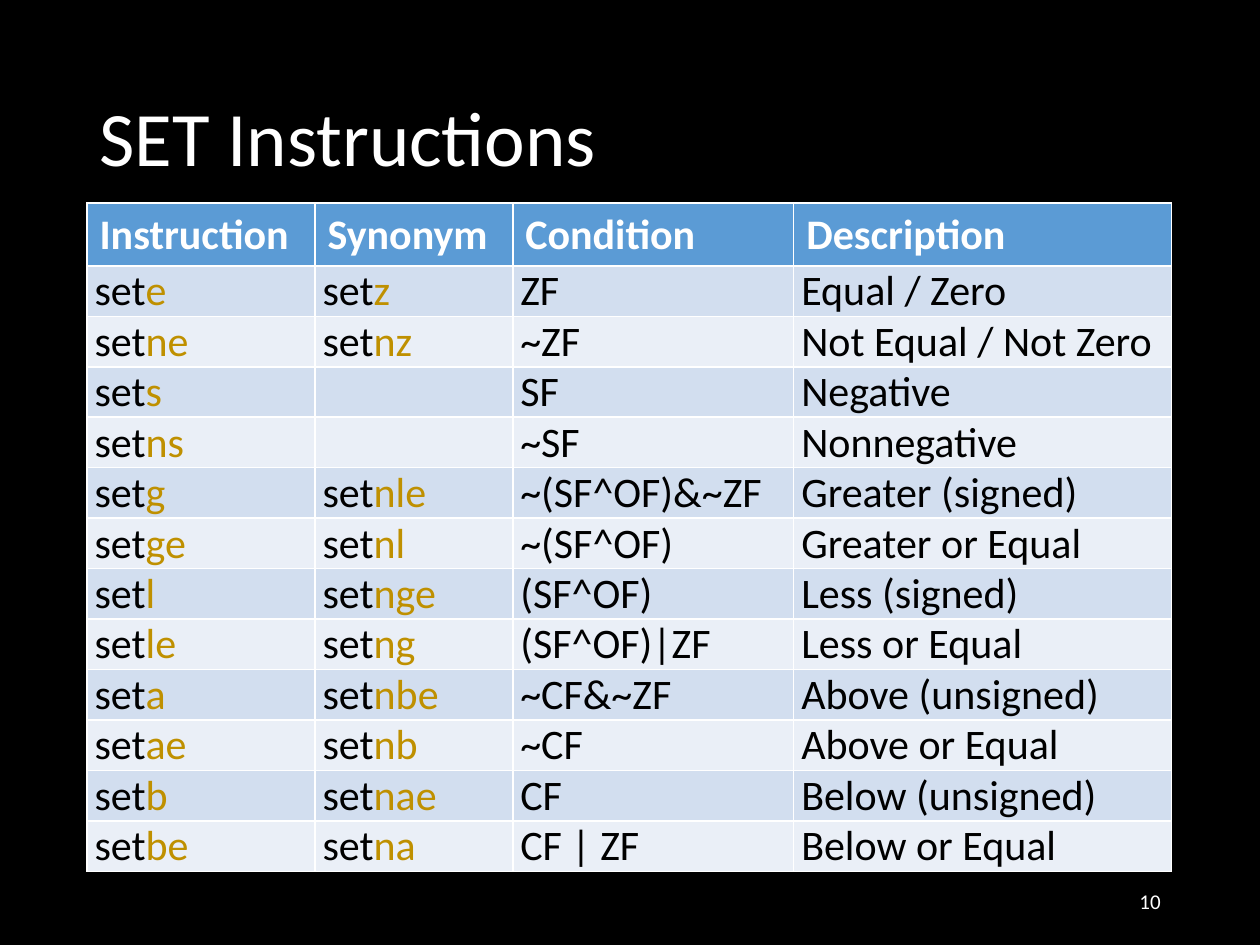
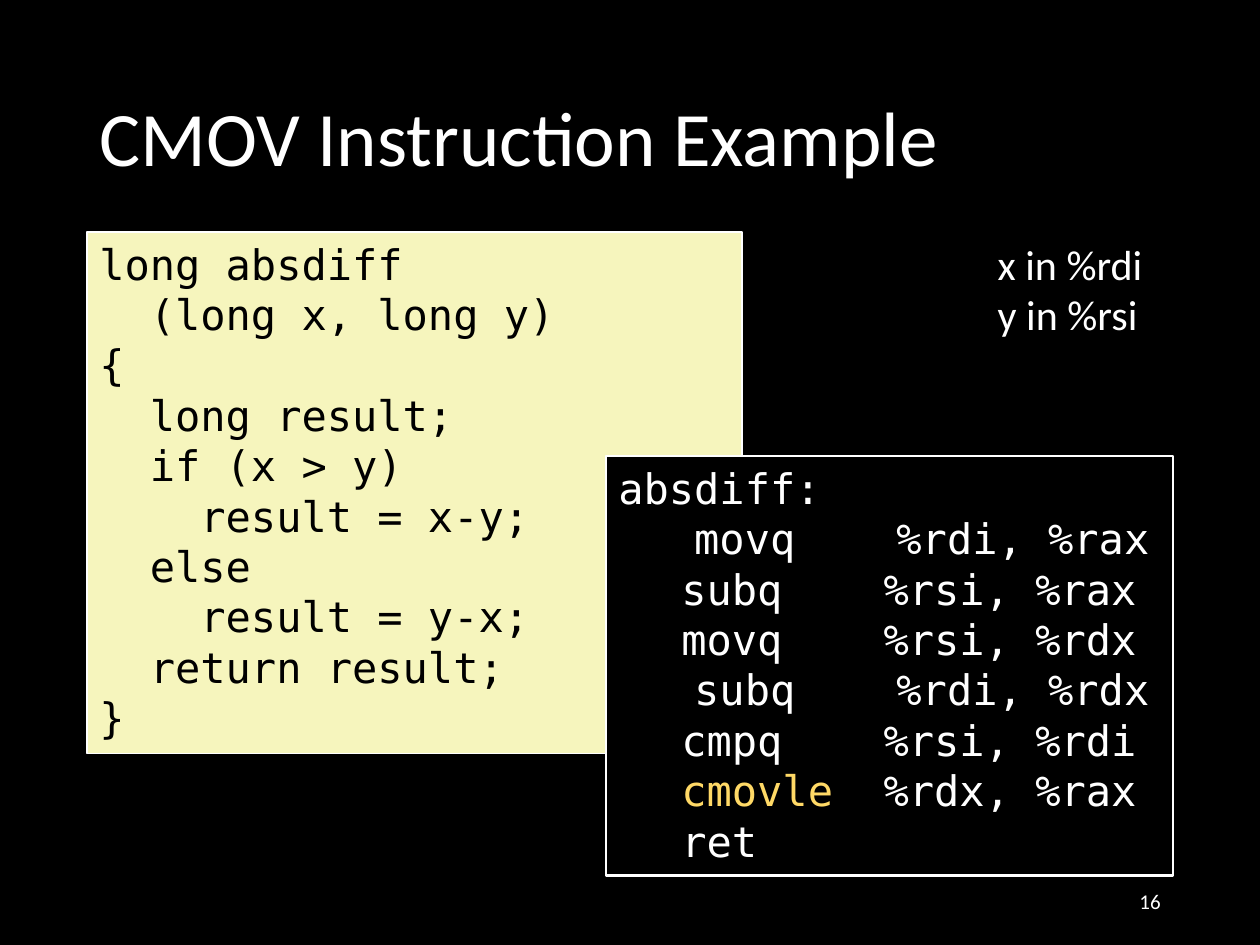
from lxml import etree
from pptx import Presentation
from pptx.dml.color import RGBColor
from pptx.enum.shapes import MSO_SHAPE
from pptx.enum.text import MSO_ANCHOR, MSO_AUTO_SIZE, PP_ALIGN
from pptx.oxml.ns import qn
from pptx.util import Inches, Pt

RECTANGLE = MSO_SHAPE.RECTANGLE
TOP, MIDDLE = MSO_ANCHOR.TOP, MSO_ANCHOR.MIDDLE
LEFT, RIGHT = PP_ALIGN.LEFT, PP_ALIGN.RIGHT
GROW = MSO_AUTO_SIZE.SHAPE_TO_FIT_TEXT

# Content: a "*" splits a text into a plain part, a marked part and a plain part.
SET_TITLE, SET_PAGE = "SET Instructions", "10"
SET_HEADINGS = ("Instruction", "Synonym", "Condition", "Description")
SET_ROWS = [
    ("set*e", "set*z", "ZF", "Equal / Zero"),
    ("set*ne", "set*nz", "~ZF", "Not Equal / Not Zero"),
    ("set*s", "", "SF", "Negative"),
    ("set*ns", "", "~SF", "Nonnegative"),
    ("set*g", "set*nle", "~(SF^OF)&~ZF", "Greater (signed)"),
    ("set*ge", "set*nl", "~(SF^OF)", "Greater or Equal"),
    ("set*l", "set*nge", "(SF^OF)", "Less (signed)"),
    ("set*le", "set*ng", "(SF^OF)|ZF", "Less or Equal"),
    ("set*a", "set*nbe", "~CF&~ZF", "Above (unsigned)"),
    ("set*ae", "set*nb", "~CF", "Above or Equal"),
    ("set*b", "set*nae", "CF", "Below (unsigned)"),
    ("set*be", "set*na", "CF | ZF", "Below or Equal"),
]

CMOV_TITLE, CMOV_PAGE = "CMOV Instruction Example", "16"
C_CODE = [
    "long absdiff",
    "  (long x, long y)",
    "{",
    "  long result;",
    "  if (x > y)",
    "    result = x-y;",
    "  else",
    "    result = y-x;",
    "  return result;",
    "}",
]
ASSEMBLY = [
    "absdiff:",
    "   movq    %rdi, %rax",
    "\tsubq    %rsi, %rax",
    "\tmovq    %rsi, %rdx",
    "   subq    %rdi, %rdx",
    "\tcmpq    %rsi, %rdi",
    "\t*cmovle*  %rdx, %rax",
    "\tret",
]
REGISTERS = ["x in %rdi", "y in %rsi"]

# Shared look
BLACK, WHITE = "000000", "FFFFFF"
HEADING_BLUE, BANDS = "5B9BD5", ("D2DEEF", "EAEFF7")
SUFFIX_GOLD, CMOV_GOLD, C_CODE_YELLOW = "BF9000", "FFD966", "F6F5BD"
SANS, MONO = "Calibri", "DejaVu Sans Mono"
BODY_SIZE = 24

# Grid in inches
SLIDE_WIDTH, SLIDE_HEIGHT = 10, 7.5
MARGIN = 0.69
RIGHT_EDGE = SLIDE_WIDTH - MARGIN
CONTENT_WIDTH = RIGHT_EDGE - MARGIN
PANEL_TOP = 1.84
PAGE_TOP, PAGE_WIDTH, PAGE_HEIGHT = 6.95, 2.25, 0.4
COLUMN_WIDTHS = (1.81, 1.57, 2.23, 3)
TABLE_TOP, HEADING_HEIGHT, ROW_HEIGHT = 1.61, 0.5, 0.4
TAB_STOPS = (0.5, 1.62)


def color(hex_value):
    return RGBColor.from_string(hex_value)


def apply(target, **values):
    for attribute, value in values.items():
        setattr(target, attribute, value)


def place(left, top, width, height):
    return [Inches(length) for length in (left, top, width, height)]


def paint(target, hex_value):
    target.fill.solid()
    target.fill.fore_color.rgb = color(hex_value)


def add_tab_stops(paragraph):
    stops = etree.SubElement(paragraph._p.get_or_add_pPr(), qn("a:tabLst"))
    for stop in TAB_STOPS:
        etree.SubElement(stops, qn("a:tab"), pos=str(Inches(stop)), algn="l")


def write(frame, lines, ink, mark=None, font=SANS, size=BODY_SIZE, bold=False,
          align=LEFT, tabs=False):
    """Fill the frame with one paragraph a line; mark colours the starred parts."""
    for number, line in enumerate(lines):
        paragraph = frame.add_paragraph() if number else frame.paragraphs[0]
        paragraph.alignment = align
        if tabs:
            add_tab_stops(paragraph)
        for part, words in enumerate(line.split("*")):
            if words:
                run = paragraph.add_run()
                run.text = words
                apply(run.font, name=font, size=Pt(size), bold=bold)
                run.font.color.rgb = color(mark if part % 2 else ink)


def add_titled_slide(deck, title, page):
    slide = deck.slides.add_slide(deck.slide_layouts.get_by_name("Title Only"))
    heading = slide.shapes.title
    left, top, width, height = place(MARGIN, 0.4, CONTENT_WIDTH, 1.45)
    apply(heading, left=left, top=top, width=width, height=height)
    heading.text_frame.vertical_anchor = MIDDLE
    write(heading.text_frame, [title], WHITE, size=44)
    heading.text_frame.paragraphs[0].line_spacing = 0.9

    footer = slide.shapes.add_textbox(
        *place(RIGHT_EDGE - PAGE_WIDTH, PAGE_TOP, PAGE_WIDTH, PAGE_HEIGHT))
    apply(footer.text_frame, word_wrap=True, vertical_anchor=MIDDLE)
    write(footer.text_frame, [page], WHITE, size=12, align=RIGHT)
    return slide


def add_code_panel(slide, box, lines, background, ink, border, mark=None):
    panel = slide.shapes.add_shape(RECTANGLE, *place(*box))
    panel.shadow.inherit = False
    paint(panel, background)
    panel.line.color.rgb = color(WHITE)
    panel.line.width = Pt(border)
    apply(panel.text_frame, word_wrap=True, vertical_anchor=TOP, auto_size=GROW)
    write(panel.text_frame, lines, ink, mark, font=MONO, tabs=True)


def build_set_slide(deck):
    slide = add_titled_slide(deck, SET_TITLE, SET_PAGE)
    table_height = HEADING_HEIGHT + ROW_HEIGHT * len(SET_ROWS)
    table = slide.shapes.add_table(
        len(SET_ROWS) + 1, len(SET_HEADINGS),
        *place(MARGIN, TABLE_TOP, sum(COLUMN_WIDTHS), table_height)).table
    for column, width in zip(table.columns, COLUMN_WIDTHS):
        column.width = Inches(width)
    for number, texts in enumerate([SET_HEADINGS, *SET_ROWS]):
        is_heading = number == 0
        table.rows[number].height = Inches(HEADING_HEIGHT if is_heading else ROW_HEIGHT)
        for cell, text in zip(table.rows[number].cells, texts):
            paint(cell, HEADING_BLUE if is_heading else BANDS[(number - 1) % 2])
            if not is_heading:
                apply(cell, margin_left=Inches(0.06), margin_right=Inches(0.06),
                      margin_top=0, margin_bottom=0)
            write(cell.text_frame, [text], WHITE if is_heading else BLACK,
                  SUFFIX_GOLD, bold=is_heading)


def build_cmov_slide(deck):
    slide = add_titled_slide(deck, CMOV_TITLE, CMOV_PAGE)
    add_code_panel(slide, (MARGIN, PANEL_TOP, 5.2, 4.14), C_CODE,
                   C_CODE_YELLOW, BLACK, border=1)
    add_code_panel(slide, (RIGHT_EDGE - 4.5, 3.62, 4.5, 3.33), ASSEMBLY,
                   BLACK, WHITE, border=1.5, mark=CMOV_GOLD)
    registers = slide.shapes.add_textbox(
        *place(RIGHT_EDGE - 1.49, PANEL_TOP, 1.49, 0.91))
    apply(registers.text_frame, word_wrap=True, auto_size=GROW)
    write(registers.text_frame, REGISTERS, WHITE)


def main():
    deck = Presentation()
    apply(deck, slide_width=Inches(SLIDE_WIDTH), slide_height=Inches(SLIDE_HEIGHT))
    paint(deck.slide_master.background, BLACK)
    build_set_slide(deck)
    build_cmov_slide(deck)
    deck.save("out.pptx")


if __name__ == "__main__":
    main()
